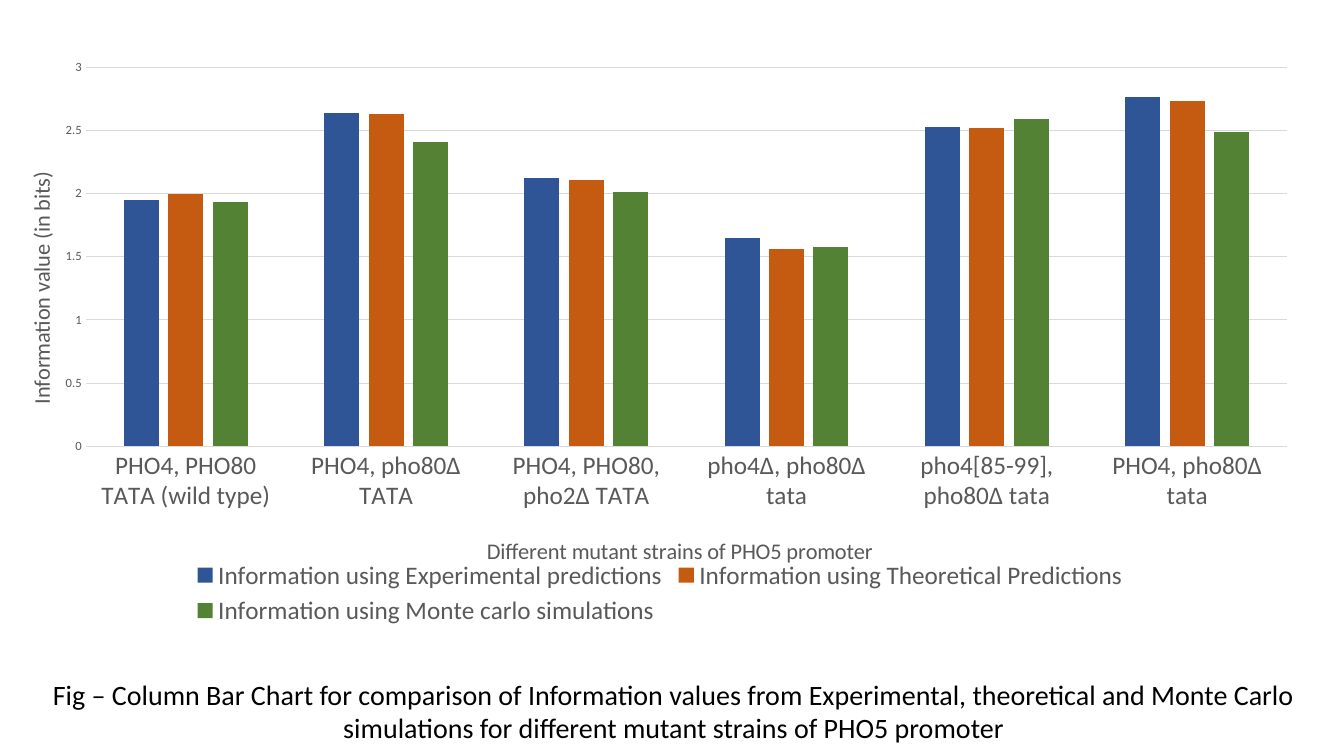
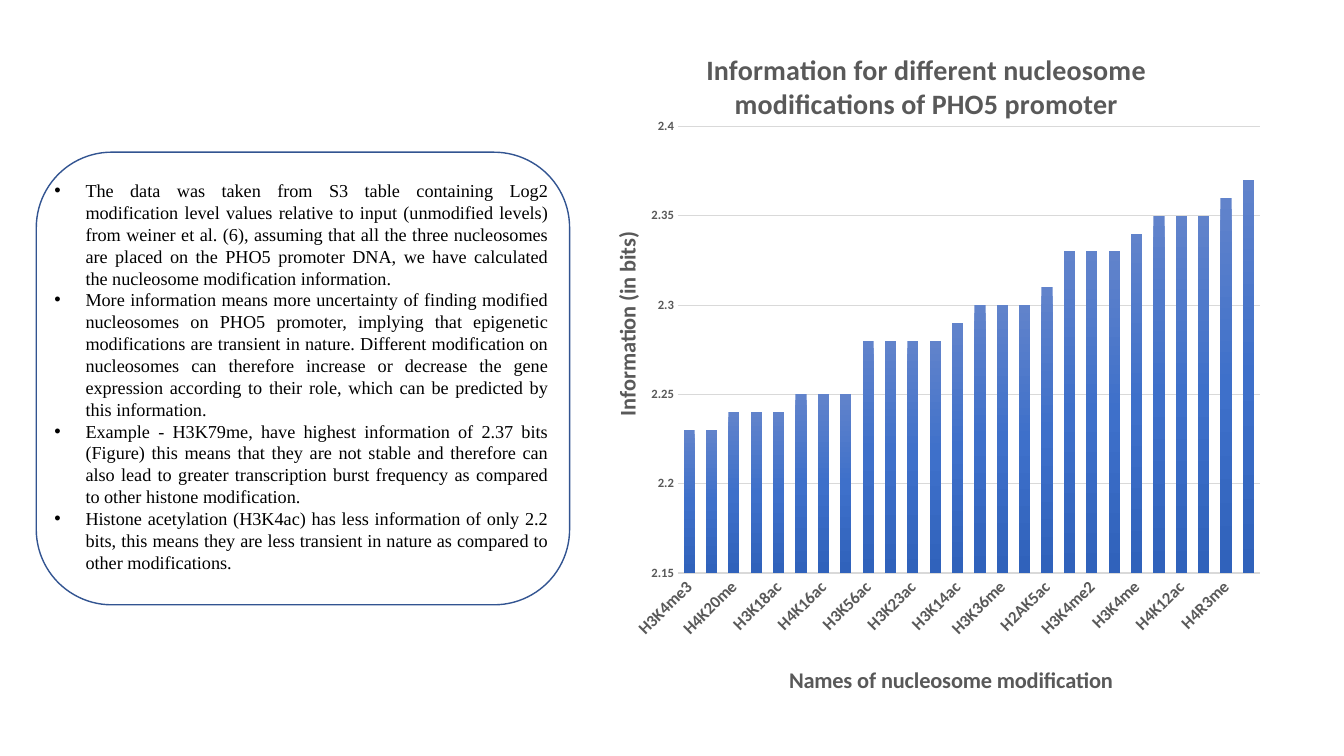
from dataclasses import dataclass
from typing import Optional

from lxml.etree import SubElement
from pptx import Presentation
from pptx.chart.data import CategoryChartData
from pptx.dml.color import RGBColor
from pptx.enum.chart import XL_CHART_TYPE, XL_LEGEND_POSITION, XL_TICK_MARK
from pptx.enum.shapes import MSO_SHAPE
from pptx.enum.text import MSO_AUTO_SIZE, PP_ALIGN
from pptx.oxml.ns import qn
from pptx.util import Inches, Pt

SLIDE_WIDTH, SLIDE_HEIGHT = Inches(13.33), Inches(7.5)
COLUMN, ROW = SLIDE_WIDTH / 100, SLIDE_HEIGHT / 100
BODY_FONT, NOTE_FONT = "Calibri", "Times New Roman"
COLORS = {
    "text": "000000",
    "label": "595959",
    "rule": "D9D9D9",
    "experimental": "2F5597",
    "theoretical": "C55A11",
    "monte_carlo": "548235",
    "frame": "325491",
    "bar_top": "6183CB",
    "bar_middle": "3E70CA",
    "bar_bottom": "3062BB",
}


@dataclass(frozen=True)
class Area:
    """A place on the slide, in columns and rows of a 100 by 100 grid."""
    left: float
    top: float
    width: float
    height: float

    def box(self) -> tuple:
        return (round(self.left * COLUMN), round(self.top * ROW),
                round(self.width * COLUMN), round(self.height * ROW))


@dataclass(frozen=True)
class Series:
    name: str
    values: tuple
    colors: tuple


@dataclass(frozen=True)
class AxisTitle:
    """Text, with its left and top in percent of the chart."""
    text: str
    left: float
    top: float


@dataclass(frozen=True)
class ColumnChart:
    area: Area
    plot: tuple
    categories: tuple
    series: tuple
    category_title: AxisTitle
    value_title: AxisTitle
    scale: tuple
    gap: int
    overlap: int
    label_size: int
    bold: bool = False
    label_turn: int = 0
    axis_width: float = 0.75
    title: Optional[str] = None
    legend_size: Optional[int] = None


STRAINS = ColumnChart(
    area=Area(0.98, 5.2, 96.25, 78.27),
    plot=(5.6, 4.7, 92.9, 64.1),
    categories=("PHO4, PHO80 TATA (wild type)", "PHO4, pho80Δ TATA",
                "PHO4, PHO80, pho2Δ TATA", "pho4Δ, pho80Δ tata",
                "pho4[85-99], pho80Δ tata", "PHO4, pho80Δ tata"),
    series=(
        Series("Information using Experimental predictions",
               (1.95, 2.64, 2.12, 1.65, 2.53, 2.76), ("experimental",)),
        Series("Information using Theoretical Predictions",
               (2, 2.63, 2.11, 1.56, 2.52, 2.73), ("theoretical",)),
        Series("Information using Monte carlo simulations",
               (1.93, 2.41, 2.01, 1.58, 2.59, 2.49), ("monte_carlo",)),
    ),
    category_title=AxisTitle("Different mutant strains of PHO5 promoter", 36.3, 83.3),
    value_title=AxisTitle("Information value (in bits)", 0.7, 21.7),
    scale=(0, 3, 0.5), gap=219, overlap=-27, label_size=18, legend_size=18,
)

MODIFICATIONS = ColumnChart(
    area=Area(43.88, 3.2, 50.1, 97.87),
    plot=(13.1, 13.8, 86.4, 60.4),
    categories=("H3K4me3", "H3K4ac", "H4K20me", "H2AS129ph", "H3K18ac", "Htz1",
                "H4K16ac", "H3K9ac", "H3K56ac", "H4R3me2s", "H3K23ac", "H3S10ph",
                "H3K14ac", "H4K8ac", "H3K36me", "H3K27ac", "H2AK5ac", "H3K79me3",
                "H3K4me2", "H3K36me2", "H3K4me", "H3K36me3", "H4K12ac", "H4K5ac",
                "H4R3me", "H3K79me"),
    series=(
        Series("Series 1",
               (2.23, 2.23, 2.24, 2.24, 2.24, 2.25, 2.25, 2.25, 2.28, 2.28, 2.28,
                2.28, 2.29, 2.3, 2.3, 2.3, 2.31, 2.33, 2.33, 2.33, 2.34, 2.35,
                2.35, 2.35, 2.36, 2.37),
               ("bar_top", "bar_middle", "bar_bottom")),
    ),
    category_title=AxisTitle("Names of nucleosome modification", 29, 86),
    value_title=AxisTitle("Information (in bits)", 2.7, 27.5),
    scale=(2.15, 2.4, 0.05), gap=100, overlap=-24, label_size=12, bold=True,
    label_turn=-45, axis_width=1,
    title="Information for different nucleosome modifications of PHO5 promoter",
)

CAPTION = ("Fig – Column Bar Chart for comparison of Information values from "
           "Experimental, theoretical and Monte Carlo simulations for different "
           "mutant strains of PHO5 promoter")
FINDINGS = (
    "The data was taken from S3 table containing Log2 modification level values "
    "relative to input (unmodified levels) from weiner et al. (6), assuming that "
    "all the three nucleosomes are placed on the PHO5 promoter DNA, we have "
    "calculated the nucleosome modification information.",
    "More information means more uncertainty of finding modified nucleosomes on "
    "PHO5 promoter, implying that epigenetic modifications are transient in nature. "
    "Different modification on nucleosomes can therefore increase or decrease the "
    "gene expression according to their role, which can be predicted by this "
    "information.",
    "Example - H3K79me, have highest information of 2.37 bits (Figure) this means "
    "that they are not stable and therefore can also lead to greater transcription "
    "burst frequency as compared to other histone modification.",
    "Histone acetylation (H3K4ac) has less information of only 2.2 bits, this means "
    "they are less transient in nature as compared to other modifications.",
)


def rgb(name: str) -> RGBColor:
    return RGBColor.from_string(COLORS[name])


def format_font(font, size: float, color: str = "label", bold: bool = False,
                name: str = BODY_FONT) -> None:
    font.name, font.size, font.bold = name, Pt(size), bold
    font.color.rgb = rgb(color)


def write(frame, *texts: str, align: PP_ALIGN = PP_ALIGN.CENTER,
          bullet_indent: float = 0, **font_format) -> None:
    """Fill a text frame, one paragraph a text."""
    for index, text in enumerate(texts):
        paragraph = frame.add_paragraph() if index else frame.paragraphs[0]
        paragraph.alignment = align
        if bullet_indent:
            properties = paragraph._p.get_or_add_pPr()
            properties.set("marL", str(Inches(bullet_indent)))
            properties.set("indent", str(-Inches(bullet_indent)))
            SubElement(properties, qn("a:buFont"), typeface="Arial")
            SubElement(properties, qn("a:buChar"), char="•")
        run = paragraph.add_run()
        run.text = text
        format_font(run.font, **font_format)


def add_text(slide, area: Area, *texts: str, **text_format) -> None:
    frame = slide.shapes.add_textbox(*area.box()).text_frame
    frame.word_wrap = True
    frame.auto_size = MSO_AUTO_SIZE.SHAPE_TO_FIT_TEXT
    write(frame, *texts, **text_format)


def place(parent, position: int, **settings) -> None:
    """Give a chart part a manual layout; numbers are percent of the chart."""
    for old in parent.findall(qn("c:layout")):
        parent.remove(old)
    layout = parent.makeelement(qn("c:layout"))
    parent.insert(position, layout)
    manual = SubElement(layout, qn("c:manualLayout"))
    for tag, value in settings.items():
        shown = value if isinstance(value, str) else f"{value / 100:.3f}"
        SubElement(manual, qn(f"c:{tag}"), val=shown)


def set_axis_title(axis, title: AxisTitle, bold: bool, turn: int) -> None:
    frame = axis.axis_title.text_frame
    write(frame, title.text, size=16, bold=bold)
    body = frame._txBody.find(qn("a:bodyPr"))
    body.set("rot", str(turn * 60000))
    body.set("vert", "horz")
    place(axis.axis_title._element, 1, xMode="edge", yMode="edge",
          x=title.left, y=title.top)


def fill_bars(series, colors: tuple) -> None:
    """Fill with one colour, or with an even gradient from top to bottom."""
    fill = series.format.fill
    if len(colors) == 1:
        fill.solid()
        fill.fore_color.rgb = rgb(colors[0])
        return
    fill.gradient()
    fill.gradient_angle = 270
    stops = next(series._element.iter(qn("a:gsLst")))
    for old in list(stops):
        stops.remove(old)
    for index, color in enumerate(colors):
        share = index * 100000 // (len(colors) - 1)
        stop = SubElement(stops, qn("a:gs"), pos=str(share))
        SubElement(stop, qn("a:srgbClr"), val=COLORS[color])


def add_column_chart(slide, design: ColumnChart) -> None:
    data = CategoryChartData()
    data.categories = design.categories
    for series in design.series:
        data.add_series(series.name, series.values)
    chart = slide.shapes.add_chart(XL_CHART_TYPE.COLUMN_CLUSTERED,
                                   *design.area.box(), data).chart
    format_font(chart.font, 10, "text")

    chart.has_title = design.title is not None
    if design.title:
        write(chart.chart_title.text_frame, design.title, size=20, bold=True)
        chart.chart_title.include_in_layout = False
    chart.has_legend = design.legend_size is not None
    if design.legend_size:
        chart.legend.position = XL_LEGEND_POSITION.BOTTOM
        chart.legend.include_in_layout = False
        format_font(chart.legend.font, design.legend_size)

    bars = chart.plots[0]
    bars.gap_width, bars.overlap = design.gap, design.overlap
    bars.vary_by_categories = False
    for drawn, series in zip(bars.series, design.series):
        fill_bars(drawn, series.colors)
        drawn.invert_if_negative = False

    names, values = chart.category_axis, chart.value_axis
    for axis, size, title, turn in (
            (names, design.label_size, design.category_title, 0),
            (values, 9, design.value_title, -90)):
        axis.major_tick_mark = axis.minor_tick_mark = XL_TICK_MARK.NONE
        format_font(axis.tick_labels.font, size, bold=design.bold)
        set_axis_title(axis, title, design.bold, turn)
    names.format.line.color.rgb = rgb("rule")
    names.format.line.width = Pt(design.axis_width)
    if design.label_turn:
        labels = names._element.find(qn("c:txPr")).find(qn("a:bodyPr"))
        labels.set("rot", str(design.label_turn * 60000))
        labels.set("vert", "horz")
    values.format.line.fill.background()
    values.minimum_scale, values.maximum_scale, values.major_unit = design.scale
    values.has_major_gridlines = True
    values.major_gridlines.format.line.color.rgb = rgb("rule")
    values.major_gridlines.format.line.width = Pt(0.75)

    left, top, width, height = design.plot
    place(chart._chartSpace.find(".//" + qn("c:plotArea")), 0,
          layoutTarget="inner", xMode="edge", yMode="edge",
          x=left, y=top, w=width, h=height)


def add_rounded_frame(slide, area: Area) -> None:
    frame = slide.shapes.add_shape(MSO_SHAPE.FLOWCHART_ALTERNATE_PROCESS, *area.box())
    frame.shadow.inherit = False
    frame.fill.background()
    frame.line.color.rgb = rgb("frame")
    frame.line.width = Pt(1)


def main() -> None:
    deck = Presentation()
    deck.slide_width, deck.slide_height = SLIDE_WIDTH, SLIDE_HEIGHT
    blank = deck.slide_layouts[6]

    strains = deck.slides.add_slide(blank)
    add_column_chart(strains, STRAINS)
    add_text(strains, Area(2, 88.93, 96.25, 10.7), CAPTION, size=20, color="text")

    modifications = deck.slides.add_slide(blank)
    add_column_chart(modifications, MODIFICATIONS)
    add_rounded_frame(modifications, Area(2.7, 20.13, 39.68, 59.87))
    add_text(modifications, Area(3.3, 23.07, 38.18, 53.87), *FINDINGS,
             align=PP_ALIGN.JUSTIFY, bullet_indent=0.31, size=13, color="text",
             name=NOTE_FONT)
    deck.save("out.pptx")


if __name__ == "__main__":
    main()
